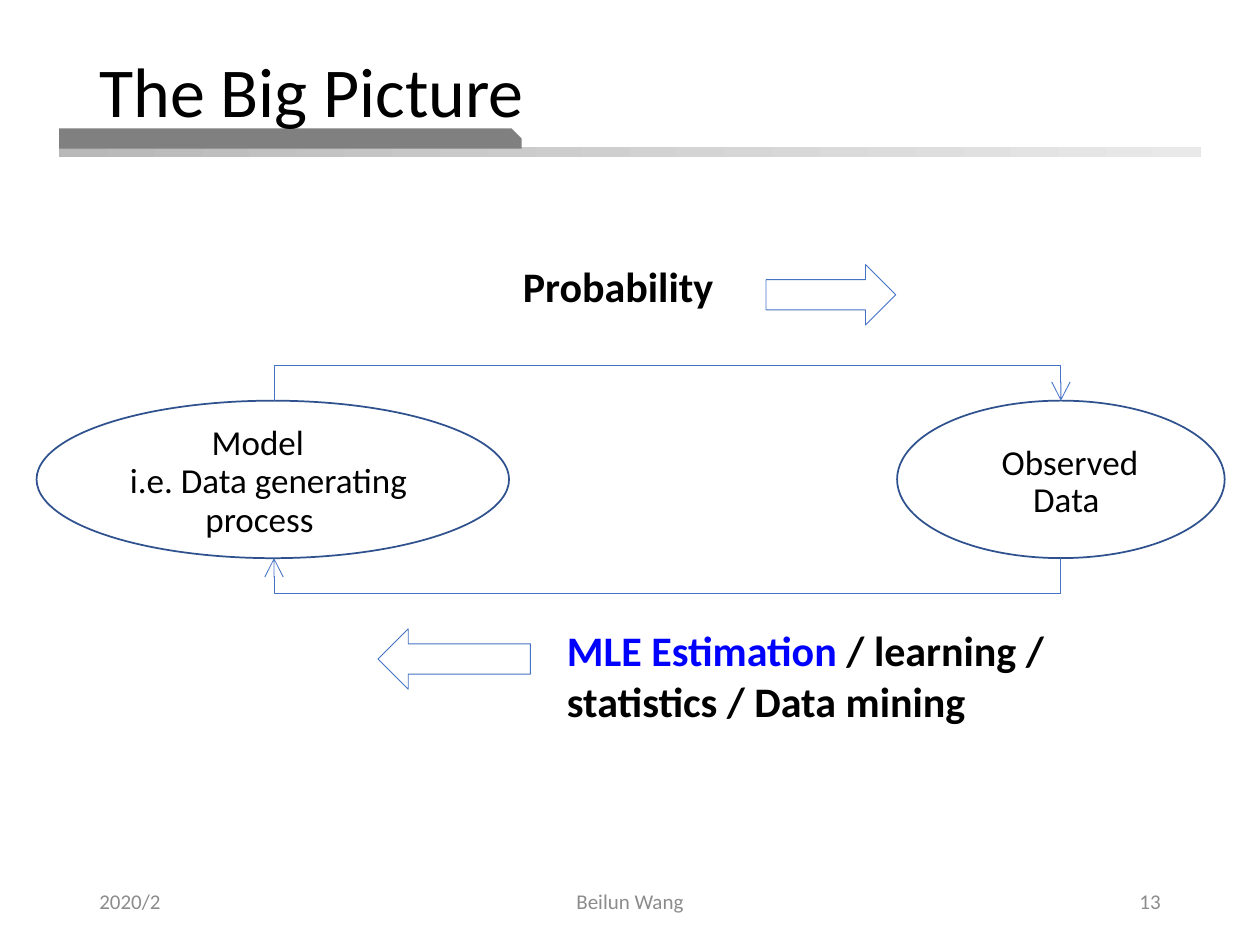
from lxml.etree import SubElement
from pptx import Presentation
from pptx.dml.color import RGBColor
from pptx.enum.shapes import MSO_SHAPE
from pptx.enum.text import MSO_ANCHOR, PP_ALIGN
from pptx.oxml.ns import qn
from pptx.util import Inches, Pt

COLUMNS, ROWS = 100, 75
CELL = Inches(0.1)


def color(hex_string):
    return RGBColor.from_string(hex_string)


def write(place, paragraphs, size, ink="000000", bold=False, align=PP_ALIGN.LEFT,
          anchor=MSO_ANCHOR.TOP, inset=(0, 0), spacing=None):
    frame = slide.shapes.add_textbox(*[int(n * CELL) for n in place]).text_frame
    frame.word_wrap = True
    frame.vertical_anchor = anchor
    frame.margin_left = frame.margin_right = int(inset[0] * CELL)
    frame.margin_top = frame.margin_bottom = int(inset[1] * CELL)
    for index, (runs, margin, indent) in enumerate(paragraphs):
        line = frame.add_paragraph() if index else frame.paragraphs[0]
        properties = line._p.get_or_add_pPr()
        properties.set("marL", str(int(margin * CELL)))
        properties.set("indent", str(int(indent * CELL)))
        line.alignment = align
        line.line_spacing = spacing
        line.font.name = "Calibri"
        line.font.size = Pt(size)
        line.font.bold = bold
        for words, run_ink in runs:
            run = line.add_run()
            run.text = words
            if len(runs) > 1:
                run.font.color.rgb = color(run_ink)
        if len(runs) == 1:
            line.font.color.rgb = color(runs[0][1] or ink)


deck = Presentation()
deck.slide_width, deck.slide_height = COLUMNS * CELL, ROWS * CELL
slide = deck.slides.add_slide(deck.slide_layouts[6])

outlines = [
    (MSO_SHAPE.RECTANGLE, (4.7, 11.7, 90.6, 0.8), None, 0),
    (MSO_SHAPE.SNIP_1_RECTANGLE, (4.7, 10.2, 36.7, 1.6), None, 0),
    (MSO_SHAPE.OVAL, (2.9, 31.8, 37.5, 12.5), "2F528F", 1),
    (MSO_SHAPE.OVAL, (71.2, 31.8, 26, 12.5), "2F528F", 1),
    (MSO_SHAPE.RIGHT_ARROW, (60.8, 21, 10.3, 4.8), "4472C4", 0.5),
    (MSO_SHAPE.LEFT_ARROW, (30, 49.9, 12.1, 4.8), "4472C4", 0.5),
]
drawn = []
for kind, place, stroke, weight in outlines:
    outline = slide.shapes.add_shape(kind, *[int(n * CELL) for n in place])
    outline.shadow.inherit = False
    outline.fill.background()
    if stroke:
        outline.line.color.rgb = color(stroke)
        outline.line.width = Pt(weight)
    else:
        outline.line.fill.background()
    drawn.append(outline)

rule, tab = drawn[:2]
rule.fill.gradient()
rule.fill.gradient_angle = 0
for stop, shade in zip(rule.fill.gradient_stops, ("B8B8B8", "E9E9E9")):
    stop.color.rgb = color(shade)
tab.fill.solid()
tab.fill.fore_color.rgb = color("808080")
tab.adjustments[0] = 0.5

model_x, data_x = 21.75, 84.2
for start, end, near, far in [(model_x, data_x, 31.8, 29), (data_x, model_x, 44.3, 47.1)]:
    pen = slide.shapes.build_freeform(int(start * CELL), int(near * CELL))
    pen.add_line_segments(
        [(int(x * CELL), int(y * CELL)) for x, y in [(start, far), (end, far), (end, near)]],
        close=False)
    route = pen.convert_to_shape()
    route.shadow.inherit = False
    route.fill.background()
    route.line.color.rgb = color("4472C4")
    route.line.width = Pt(0.5)
    SubElement(route.line._get_or_add_ln(), qn("a:tailEnd"), type="arrow", w="lg", len="lg")

write((6.9, 4, 83.8, 6.4), [([("The Big Picture", None)], 0, 0)], 40,
      inset=(1, 0.5), spacing=0.9)
for left, width, words, align in [
    (6.9, 22.5, "2020/2", PP_ALIGN.LEFT),
    (33.1, 33.8, "Beilun Wang", PP_ALIGN.CENTER),
    (70.6, 22.5, "13", PP_ALIGN.RIGHT),
]:
    write((left, 69.5, width, 4), [([(words, None)], 0, 0)], 12, "8C8C8C",
          align=align, anchor=MSO_ANCHOR.MIDDLE, inset=(1, 0.5))

write((10.1, 33.7, 23.2, 9.3),
      [([("Model", None)], 6.7, 0),
       ([("i.e. Data generating process", None)], 6.2, -6)], 20, spacing=Pt(21.8))
write((79.4, 35.4, 11.5, 6.2), [([("Observed Data", None)], 2.6, -2.5)], 20,
      spacing=Pt(21.1))
write((41.4, 20.7, 17.8, 4.2), [([("Probability", None)], 0.1, 0)], 24, bold=True)
write((44.9, 49.5, 44, 8.1),
      [([("MLE Estimation ", "0000FF"),
         ("/ learning / statistics / Data mining", "000000")], 0.1, 0)],
      24, bold=True, spacing=1.01)

deck.save("out.pptx")
